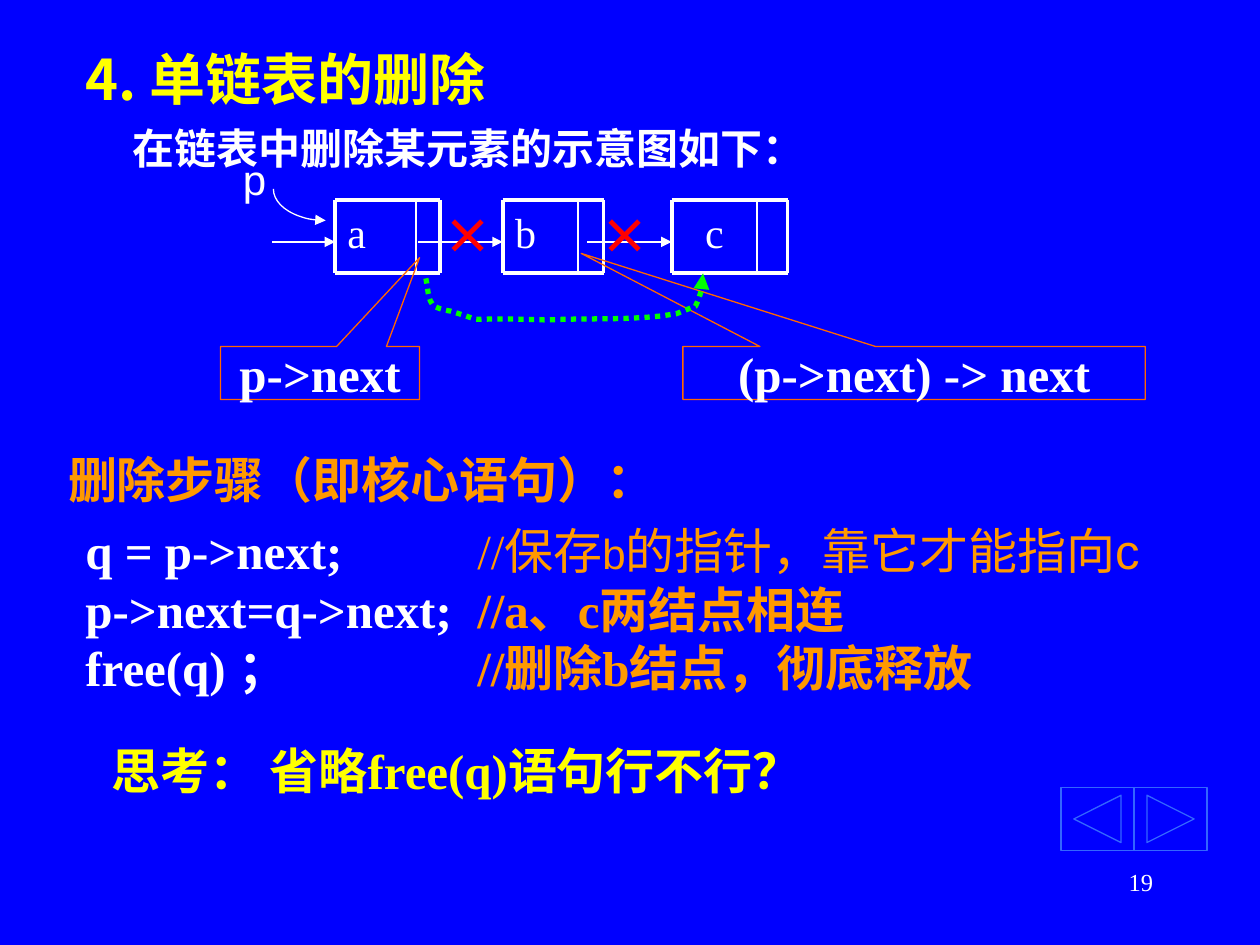
from lxml.etree import SubElement
from pptx import Presentation
from pptx.dml.color import RGBColor
from pptx.enum.dml import MSO_LINE
from pptx.enum.shapes import MSO_CONNECTOR, MSO_SHAPE as Kind
from pptx.enum.text import MSO_ANCHOR, MSO_AUTO_SIZE as Fit, PP_ALIGN as Align
from pptx.oxml.ns import qn
from pptx.util import Inches, Pt

BLUE = RGBColor(0x00, 0x00, 0xFF)
WHITE = RGBColor(0xFF, 0xFF, 0xFF)
YELLOW = RGBColor(0xFF, 0xFF, 0x00)
AMBER = RGBColor(0xFF, 0x99, 0x00)
RUST = RGBColor(0xFF, 0x66, 0x00)
RED = RGBColor(0xFF, 0x00, 0x00)
GREEN = RGBColor(0x00, 0xFF, 0x00)
SKY = RGBColor(0x33, 0x66, 0xFF)
HAN, SERIF, SANS = "Noto Sans CJK SC", "Times New Roman", "Arial"

TOP, BASE, LINK = 1.59, 2.17, 1.92  # rows of the list diagram


def style(font, face, size, color, bold=False):
    font.name, font.size, font.bold = face, Pt(size), bold
    font.color.rgb = color


def add_han(para):
    """Give each font in the paragraph a Chinese companion."""
    for latin in list(para._p.iter(qn("a:latin"))):
        east = SubElement(latin.getparent(), qn("a:ea"), typeface=HAN)
        latin.addnext(east)


def write(para, text, look, align=Align.LEFT, before=0):
    """Fill a paragraph with text in one look: face, size, colour, bold."""
    para.text = text
    para.alignment = align
    if before:
        para.space_before = Pt(before)
    style(para.font, *look)
    add_han(para)


def write_runs(para, runs):
    for text, *look in runs:
        run = para.add_run()
        run.text = text
        style(run.font, *look)
    add_han(para)


def add_box(slide, x, y, w, h, wrap=True, fit=Fit.NONE):
    box = slide.shapes.add_textbox(*map(Inches, (x, y, w, h)))
    box.text_frame.word_wrap = wrap
    box.text_frame.auto_size = fit
    return box.text_frame


def add_label(slide, place, text, look, align=Align.LEFT, before=0, **frame):
    write(add_box(slide, *place, **frame).paragraphs[0], text, look, align, before)


def add_tip(shape, end="tailEnd"):
    SubElement(shape.line._get_or_add_ln(), qn("a:" + end), type="triangle")


def add_line(slide, start, stop, width, tip=False):
    line = slide.shapes.add_connector(
        MSO_CONNECTOR.STRAIGHT, *map(Inches, (*start, *stop)))
    line.line.color.rgb = WHITE
    line.line.width = Pt(width)
    if tip:
        add_tip(line)
    SubElement(line._element.spPr, qn("a:effectLst"))


def add_shape(slide, kind, place, color):
    """Add an unfilled preset shape with a thin outline."""
    shape = slide.shapes.add_shape(kind, *map(Inches, place))
    shape.shadow.inherit = False
    shape.fill.background()
    shape.line.color.rgb = color
    shape.line.width = Pt(0.75)
    return shape


def add_node(slide, name, left, split, right, align=Align.LEFT):
    """Draw a list node: data cell, then pointer cell."""
    add_label(slide, (left, TOP, split - left, BASE - TOP), name,
              (SERIF, 24, WHITE), align, 6)
    for y in (TOP, BASE):
        add_line(slide, (left, y), (right, y), 2.25)
    for x, width in ((left, 2.25), (split, 1), (right, 2.25)):
        add_line(slide, (x, TOP), (x, BASE), width)


def add_callout(slide, place, text, tip):
    shape = add_shape(slide, Kind.RECTANGULAR_CALLOUT, place, RUST)
    shape.adjustments[0], shape.adjustments[1] = tip
    shape.text_frame.vertical_anchor = MSO_ANCHOR.MIDDLE
    write(shape.text_frame.paragraphs[0], text, (SERIF, 28, WHITE, True),
          Align.CENTER)


def trace(knots, steps=8):
    """Sample a chain of cubic curves: a start, then three points per curve."""
    points = [knots[0]]
    for i in range(0, len(knots) - 1, 3):
        for n in range(1, steps + 1):
            t = n / steps
            parts = ((1 - t) ** 3, 3 * t * (1 - t) ** 2,
                     3 * t * t * (1 - t), t ** 3)
            points.append(tuple(
                sum(k * p[axis] for k, p in zip(parts, knots[i:i + 4]))
                for axis in (0, 1)))
    return points


def add_bypass(slide):
    """Draw the dotted arrow from node a to node c."""
    knots = [(3.38, 2.21), (3.4, 2.28), (3.39, 2.39), (3.45, 2.43),
             (3.47, 2.45), (3.57, 2.47), (3.58, 2.47),
             (3.94, 2.58), (3.56, 2.51), (4.34, 2.54),
             (4.68, 2.52), (5.03, 2.55), (5.37, 2.49),
             (5.42, 2.47), (5.52, 2.43), (5.52, 2.43),
             (5.56, 2.35), (5.58, 2.27), (5.58, 2.17)]
    first, *rest = [(Inches(x), Inches(y)) for x, y in trace(knots)]
    pen = slide.shapes.build_freeform(*first)
    pen.add_line_segments(rest, close=False)
    curve = pen.convert_to_shape()
    curve.shadow.inherit = False
    curve.fill.background()
    curve.line.color.rgb = GREEN
    curve.line.width = Pt(3)
    curve.line.dash_style = MSO_LINE.ROUND_DOT
    add_tip(curve)


def add_pointer(slide):
    """Draw p and its curved arrow to node a."""
    add_label(slide, (1.83, 1.17, 0.39, 0.5), "p", (SANS, 24, WHITE))
    arc = add_shape(slide, Kind.ARC, (2.17, 1.25, 0.83, 0.5), WHITE)
    arc.adjustments[0], arc.adjustments[1] = 54, 108  # 90 to 180 degrees
    add_tip(arc, "headEnd")


def add_code(slide):
    code, note = (SERIF, 28, WHITE, True), (SERIF, 28, AMBER, True)
    rows = [
        [("q = p->next;\t", *code), ("//", SERIF, 28, AMBER),
         ("保存", HAN, 28, AMBER), ("b", SANS, 24, AMBER),
         ("的指针，靠它才能指向c", SANS, 28, AMBER)],
        [("p->next=q->next;\t", *code), ("//a、c两结点相连", *note)],
        [("free(q) ；\t", *code), ("//删除b结点，彻底释放", *note)],
    ]
    frame = add_box(slide, 0.58, 4.08, 9, 1.97)
    for i, runs in enumerate(rows):
        para = frame.add_paragraph() if i else frame.paragraphs[0]
        tabs = SubElement(para._p.get_or_add_pPr(), qn("a:tabLst"))
        SubElement(tabs, qn("a:tab"), pos=str(Inches(3.11)), algn="l")
        write_runs(para, runs)


def add_question(slide):
    para = add_box(slide, 0.75, 5.83, 5.75, 1.03).paragraphs[0]
    para.alignment = Align.CENTER
    look = (28, YELLOW, True)
    write_runs(para, [("思考： 省略", HAN, *look), ("free(q)语句", SERIF, *look),
                      ("行不行？", HAN, *look)])


def set_title(slide, text):
    title = slide.shapes.title
    title.left, title.top, title.width, title.height = map(
        Inches, (0.58, 0.33, 3.83, 0.58))
    frame = title.text_frame
    frame.auto_size = Fit.NONE
    frame.vertical_anchor = MSO_ANCHOR.MIDDLE
    write(frame.paragraphs[0], text, (HAN, 32, YELLOW, True))


def main():
    deck = Presentation()
    deck.slide_width, deck.slide_height = Inches(10), Inches(7.5)
    slide = deck.slides.add_slide(deck.slide_layouts[5])
    slide.background.fill.solid()
    slide.background.fill.fore_color.rgb = BLUE

    set_title(slide, "4. 单链表的删除")
    add_label(slide, (0.95, 0.92, 5.53, 0.5), "在链表中删除某元素的示意图如下：",
              (HAN, 24, WHITE, True), Align.CENTER, wrap=False, fit=Fit.SHAPE_TO_FIT_TEXT)

    add_node(slide, "c", 5.33, 6.01, 6.25, Align.CENTER)
    add_node(slide, "a", 2.66, 3.3, 3.49)
    add_node(slide, "b", 3.99, 4.59, 4.79)
    for start, stop in ((2.16, 2.66), (3.32, 3.99), (4.66, 5.33)):
        add_line(slide, (start, LINK), (stop, LINK), 0.75, tip=True)
    add_pointer(slide)

    add_label(slide, (0.44, 3.52, 4.86, 0.57), "删除步骤（即核心语句）：",
              (HAN, 28, AMBER, True), Align.CENTER, wrap=False, fit=Fit.SHAPE_TO_FIT_TEXT)
    add_code(slide)
    add_callout(slide, (1.75, 2.75, 1.58, 0.42), "p->next", (0.5, -2.18))
    add_question(slide)
    add_callout(slide, (5.42, 2.75, 3.67, 0.42), "(p->next) -> next",
                (-0.72, -2.26))
    add_bypass(slide)
    for kind, x in ((Kind.ACTION_BUTTON_BACK_OR_PREVIOUS, 8.42),
                    (Kind.ACTION_BUTTON_FORWARD_OR_NEXT, 9)):
        add_shape(slide, kind, (x, 6.25, 0.58, 0.5), SKY)
    for x in (3.42, 4.67):
        add_label(slide, (x, 1.58, 0.5, 0.57), "×", (HAN, 28, RED, True),
                  before=17.5)
    add_label(slide, (7.17, 6.83, 2.08, 0.5), "19", (SERIF, 14, WHITE),
              Align.RIGHT)
    deck.save("out.pptx")


if __name__ == "__main__":
    main()
